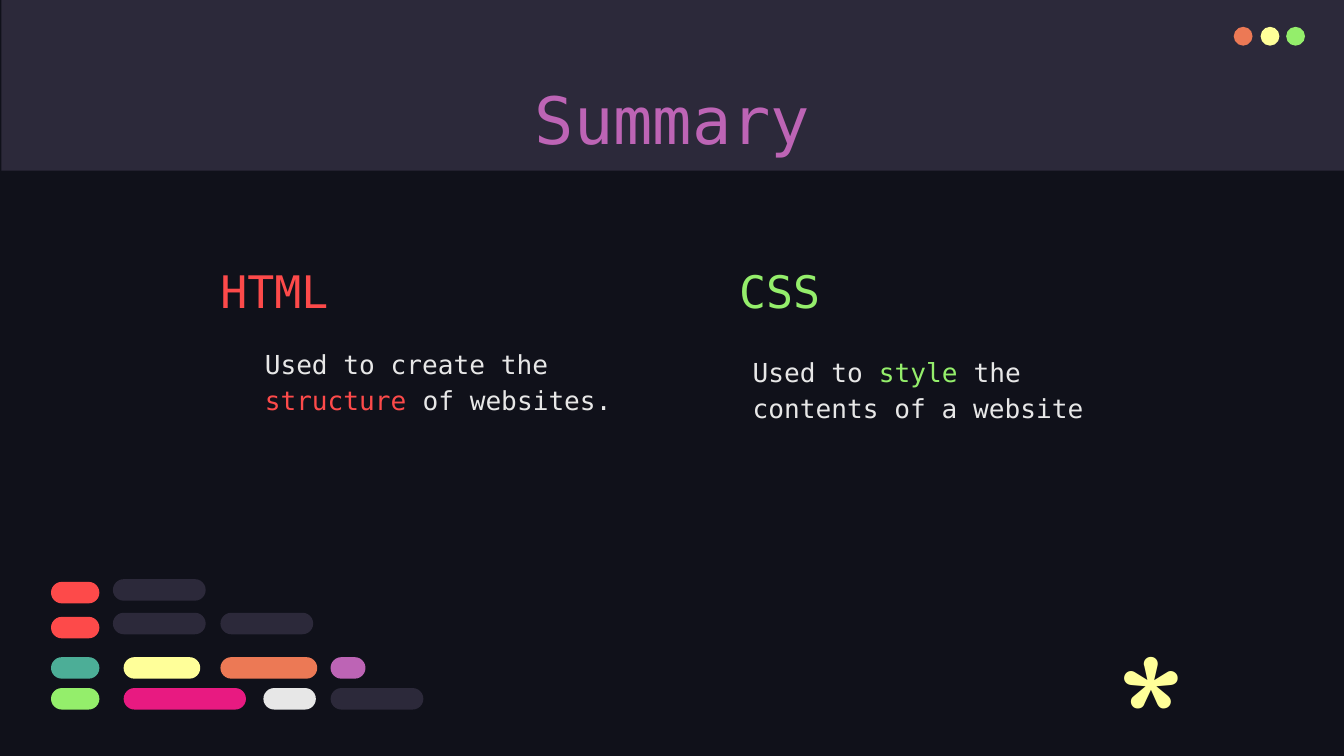
from dataclasses import dataclass

from pptx import Presentation
from pptx.dml.color import RGBColor
from pptx.enum.shapes import MSO_SHAPE
from pptx.enum.text import MSO_ANCHOR, MSO_AUTO_SIZE, PP_ALIGN
from pptx.oxml.xmlchemy import OxmlElement
from pptx.util import Inches, Pt

RECT, OVAL, PILL = MSO_SHAPE.RECTANGLE, MSO_SHAPE.OVAL, MSO_SHAPE.ROUNDED_RECTANGLE
TOP, BOTTOM = MSO_ANCHOR.TOP, MSO_ANCHOR.BOTTOM
LEFT, CENTER = PP_ALIGN.LEFT, PP_ALIGN.CENTER
NO_AUTOFIT = MSO_AUTO_SIZE.NONE
COMPARISON_LAYOUT = 4


@dataclass(frozen=True)
class Theme:
    night: str = "10111A"
    panel: str = "2C293A"
    red: str = "FD4A4A"
    orange: str = "EC7955"
    yellow: str = "FFFF99"
    green: str = "94EE6B"
    teal: str = "4CAE97"
    purple: str = "BD64B5"
    pink: str = "E81A81"
    white: str = "E7E7E7"
    mono: str = "DejaVu Sans Mono"
    display: str = "Comfortaa"
    title: int = 35
    heading: int = 24
    body: int = 14
    symbol: int = 96


THEME = Theme()


def write(tf, runs, size, font=THEME.mono, align=LEFT, anchor=TOP, spacing=1.0):
    tf.word_wrap = True
    tf.auto_size = NO_AUTOFIT
    tf.vertical_anchor = anchor
    tf.margin_left = tf.margin_right = tf.margin_top = tf.margin_bottom = Inches(0.1)
    p = tf.paragraphs[0]
    pPr = p._p.get_or_add_pPr()
    pPr.set("marL", "0")
    pPr.set("indent", "0")
    pPr.append(OxmlElement("a:buNone"))
    p.alignment = align
    p.line_spacing = spacing
    p.space_before = Pt(0)
    for text, color in runs:
        r = p.add_run()
        r.text = text
        r.font.name = font
        r.font.size = Pt(size)
        r.font.bold = False
        r.font.color.rgb = RGBColor.from_string(color)


class Deck:
    def __init__(self, theme):
        self.theme = theme
        self.prs = Presentation()
        self.prs.slide_width = Inches(10)
        self.prs.slide_height = Inches(10) * 9 // 16
        self.s = self.prs.slides.add_slide(self.prs.slide_layouts[COMPARISON_LAYOUT])
        fill = self.s.background.fill
        fill.solid()
        fill.fore_color.rgb = RGBColor.from_string(theme.night)

    def shape(self, kind, box, color, parent=None):
        shapes = (parent or self.s).shapes
        sp = shapes.add_shape(kind, *map(Inches, box))
        sp.shadow.inherit = False
        sp.fill.solid()
        sp.fill.fore_color.rgb = RGBColor.from_string(color)
        sp.line.fill.background()
        if kind == PILL:
            sp.adjustments[0] = 0.5
        return sp

    def group(self, kind, items):
        group = self.s.shapes.add_group_shape()
        for box, color in items:
            self.shape(kind, box, color, group)

    def placeholder(self, idx, box, runs, size, **style):
        sp = self.s.placeholders[idx]
        sp.left, sp.top, sp.width, sp.height = map(Inches, box)
        self.s.shapes.element.append(sp.element)
        write(sp.text_frame, runs, size, **style)

    def text(self, box, runs, size, **style):
        sp = self.s.shapes.add_textbox(*map(Inches, box))
        write(sp.text_frame, runs, size, **style)


def main():
    t = THEME
    deck = Deck(t)

    deck.shape(RECT, (0.01, 0, 10, 1.27), t.panel)
    dots = zip((9.18, 9.38, 9.57), (t.orange, t.yellow, t.green))
    deck.group(OVAL, [((left, 0.2, 0.14, 0.14), color) for left, color in dots])
    deck.placeholder(0, (0.79, 0.49, 8.43, 0.63), [("Summary", t.purple)], t.title, align=CENTER)

    columns = [
        (1, "HTML", t.red, 1.54, (1.87, 2.46, 3.05, 1.62),
         [("Used to create the ", t.white), ("structure ", t.red), ("of websites.", t.white)]),
        (3, "CSS", t.green, 5.4, (5.5, 2.52, 2.9, 1.49),
         [("Used to ", t.white), ("style ", t.green), ("the contents of a website", t.white)]),
    ]
    for idx, heading, color, left, body_box, runs in columns:
        deck.placeholder(idx, (left, 1.85, 3.05, 0.61), [(heading, color)], t.heading,
                         anchor=BOTTOM, spacing=1.15)
        deck.placeholder(idx + 1, body_box, runs, t.body, spacing=1.15)

    code_rows = [
        (4.33, [(0.38, 0.36, t.red)]),
        (4.59, [(0.38, 0.36, t.red)]),
        (4.89, [(0.38, 0.36, t.teal), (0.92, 0.57, t.yellow),
                (1.64, 0.72, t.orange), (2.46, 0.26, t.purple)]),
        (5.12, [(0.38, 0.36, t.green), (0.92, 0.91, t.pink),
                (1.96, 0.39, t.white), (2.46, 0.69, t.panel)]),
        (4.56, [(0.84, 0.69, t.panel), (1.64, 0.69, t.panel)]),
        (4.31, [(0.84, 0.69, t.panel)]),
    ]
    deck.group(PILL, [((left, top, width, 0.16), color)
                      for top, pills in code_rows for left, width, color in pills])

    deck.text((8.21, 4.5, 0.57, 0.87), [("*", t.yellow)], t.symbol, font=t.display)
    deck.prs.save("out.pptx")


if __name__ == "__main__":
    main()
